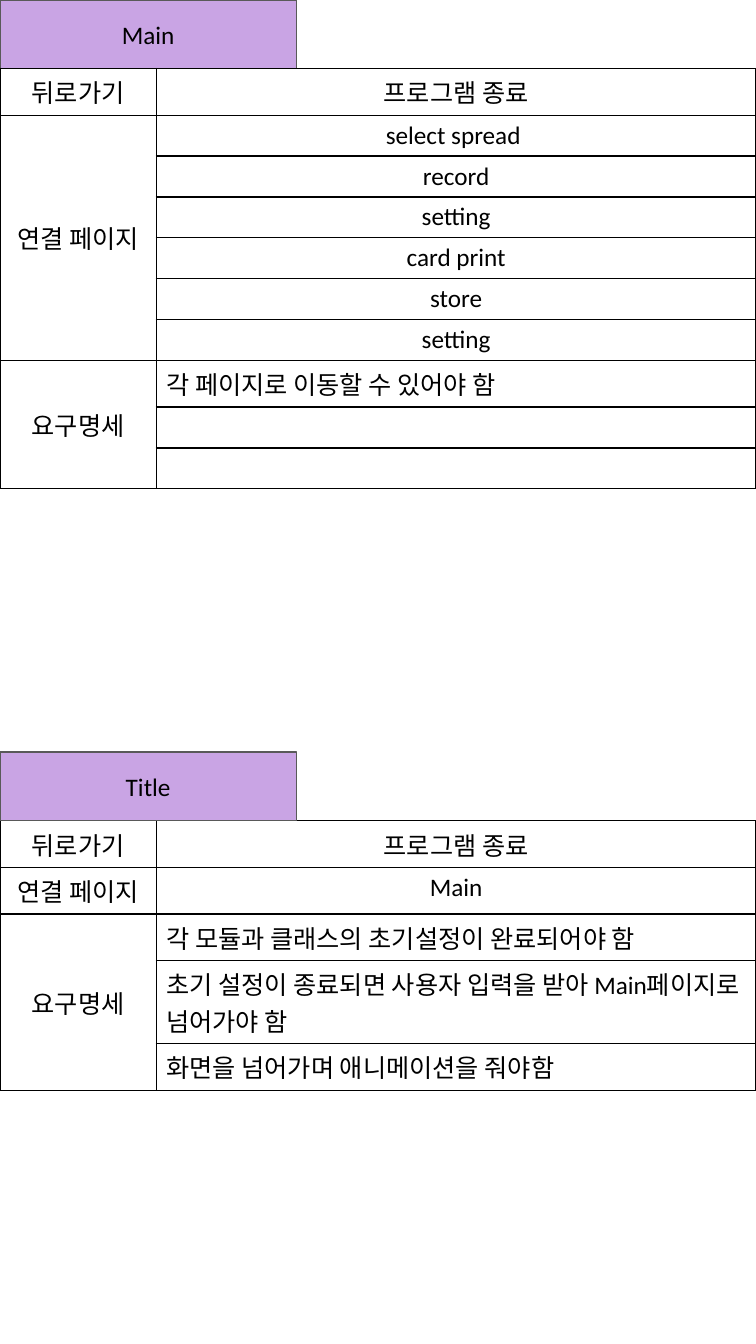
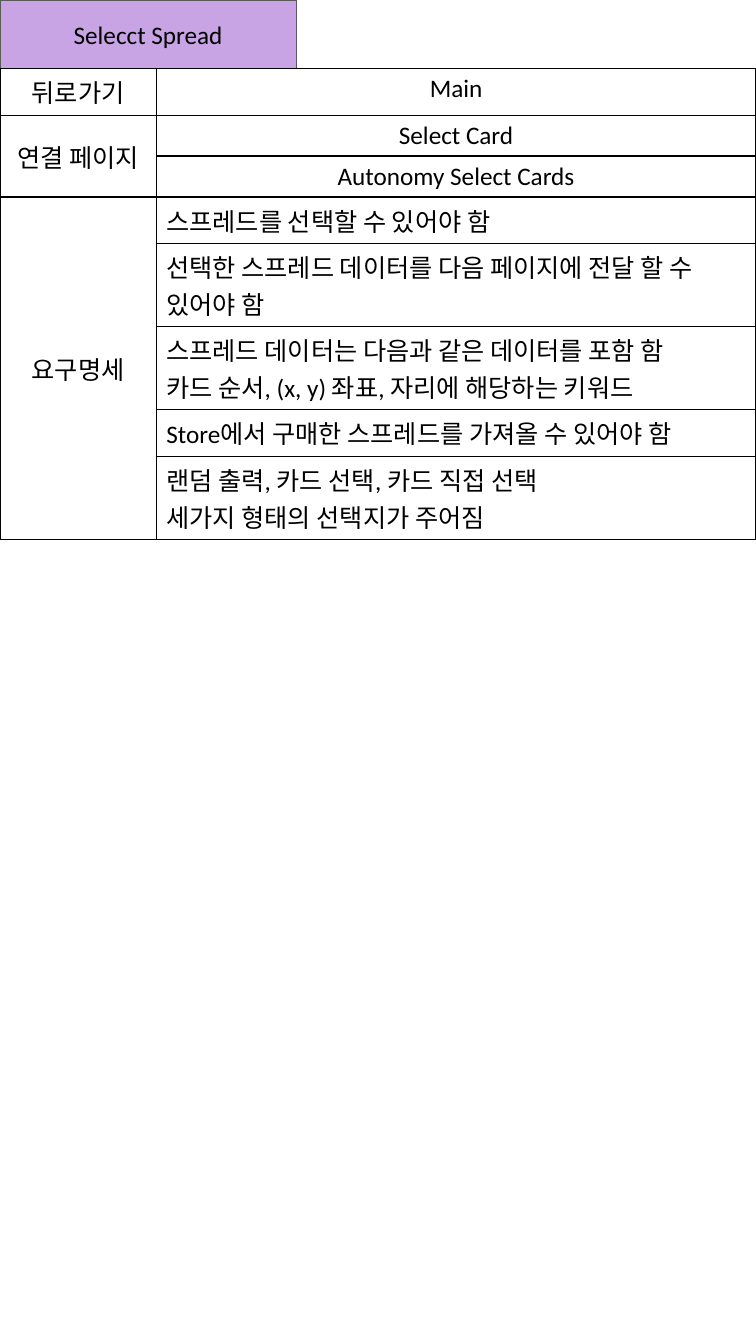
from lxml.etree import SubElement
from pptx import Presentation
from pptx.dml.color import RGBColor
from pptx.enum.shapes import MSO_SHAPE
from pptx.enum.text import MSO_ANCHOR, PP_ALIGN
from pptx.oxml.ns import qn
from pptx.util import Inches, Pt

BACK, LINKS, REQUIREMENTS = "뒤로가기", "연결 페이지", "요구명세"
SLIDES = [
    [
        {
            "name": "Main",
            "top": 0,
            BACK: ["프로그램 종료"],
            LINKS: ["select spread ", "record", "setting", "card print", "store", "setting"],
            REQUIREMENTS: ["각 페이지로 이동할 수 있어야 함", "", ""],
        },
        {
            "name": "Title",
            "top": 7.46,
            BACK: ["프로그램 종료"],
            LINKS: ["Main"],
            REQUIREMENTS: [
                "각 모듈과 클래스의 초기설정이 완료되어야 함",
                "초기 설정이 종료되면 사용자 입력을 받아 Main페이지로 넘어가야 함",
                "화면을 넘어가며 애니메이션을 줘야함",
            ],
        },
    ],
    [
        {
            "name": "Selecct Spread",
            "top": 0,
            BACK: ["Main"],
            LINKS: ["Select Card", "Autonomy Select Cards"],
            REQUIREMENTS: [
                "스프레드를 선택할 수 있어야 함",
                "선택한 스프레드 데이터를 다음 페이지에 전달 할 수 있어야 함",
                "스프레드 데이터는 다음과 같은 데이터를 포함 함\v"
                "카드 순서, (x, y) 좌표, 자리에 해당하는 키워드",
                "Store에서 구매한 스프레드를 가져올 수 있어야 함",
                "랜덤 출력, 카드 선택, 카드 직접 선택\n세가지 형태의 선택지가 주어짐",
            ],
        },
    ],
]
SECTIONS = (BACK, LINKS, REQUIREMENTS)

FONT = "Calibri"
BLACK, PURPLE, GRAY = "000000", "C9A4E4", "595959"
SLIDE_WIDTH, SLIDE_HEIGHT = 7.5, 13.33
HEADER_WIDTH, HEADER_HEIGHT = 2.94, 0.68
LABEL_WIDTH = 1.55
ROW_HEIGHT = 0.4


def color(value):
    return RGBColor.from_string(value)


def write(text_frame, text, align=PP_ALIGN.CENTER, size=18, ink=BLACK):
    text_frame.text = text
    for paragraph in text_frame.paragraphs:
        paragraph.alignment = align
        for run in paragraph.runs:
            run.font.name = FONT
            run.font.size = Pt(size)
            run.font.color.rgb = color(ink)


def add_borders(cell):
    properties = cell._tc.get_or_add_tcPr()
    for side in ("a:lnL", "a:lnR", "a:lnT", "a:lnB"):
        line = SubElement(properties, qn(side), w=str(Pt(1)))
        fill = SubElement(line, qn("a:solidFill"))
        SubElement(fill, qn("a:srgbClr"), val=BLACK)


def format_header(shape, panel):
    shape.left, shape.top = Inches(0), Inches(panel["top"])
    shape.width, shape.height = Inches(HEADER_WIDTH), Inches(HEADER_HEIGHT)
    shape.fill.solid()
    shape.fill.fore_color.rgb = color(PURPLE)
    shape.line.color.rgb = color(GRAY)
    shape.line.width = Pt(1)
    text_frame = shape.text_frame
    text_frame.word_wrap = True
    text_frame.vertical_anchor = MSO_ANCHOR.MIDDLE
    text_frame.margin_left = text_frame.margin_right = Inches(0.18)
    text_frame.margin_top = text_frame.margin_bottom = Inches(0.09)
    write(text_frame, panel["name"])


def add_panel_table(slide, panel):
    row_count = sum(len(panel[section]) for section in SECTIONS)
    table = slide.shapes.add_table(
        row_count, 2, Inches(0), Inches(panel["top"] + HEADER_HEIGHT),
        Inches(SLIDE_WIDTH), Inches(ROW_HEIGHT * row_count),
    ).table
    table.first_row = table.horz_banding = False
    table.columns[0].width = Inches(LABEL_WIDTH)
    table.columns[1].width = Inches(SLIDE_WIDTH - LABEL_WIDTH)
    for cell in table.iter_cells():
        add_borders(cell)
        cell.fill.background()
    first = 0
    for section in SECTIONS:
        entries = panel[section]
        label = table.cell(first, 0)
        if len(entries) > 1:
            label.merge(table.cell(first + len(entries) - 1, 0))
        label.vertical_anchor = MSO_ANCHOR.MIDDLE
        write(label.text_frame, section)
        align = PP_ALIGN.LEFT if section == REQUIREMENTS else PP_ALIGN.CENTER
        for row, entry in enumerate(entries, first):
            write(table.cell(row, 1).text_frame, entry, align=align)
        first += len(entries)


presentation = Presentation()
presentation.slide_width = Inches(SLIDE_WIDTH)
presentation.slide_height = Inches(SLIDE_HEIGHT)
title_only = presentation.slide_layouts.get_by_name("Title Only")

for panels in SLIDES:
    slide = presentation.slides.add_slide(title_only)
    for index, panel in enumerate(panels):
        add_panel_table(slide, panel)
        if index == 0:
            header = slide.shapes.title
        else:
            header = slide.shapes.add_shape(MSO_SHAPE.RECTANGLE, 0, 0, 0, 0)
            header.shadow.inherit = False
        format_header(header, panel)

presentation.save("out.pptx")
